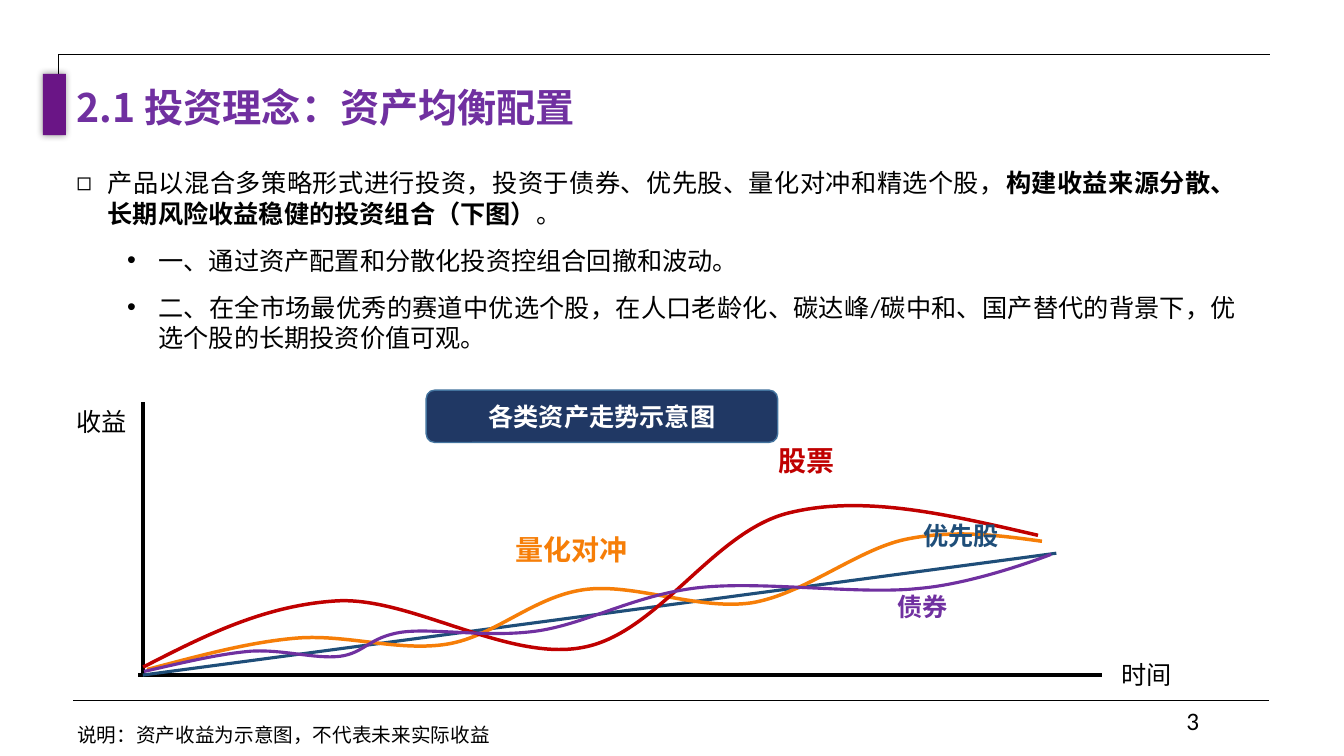
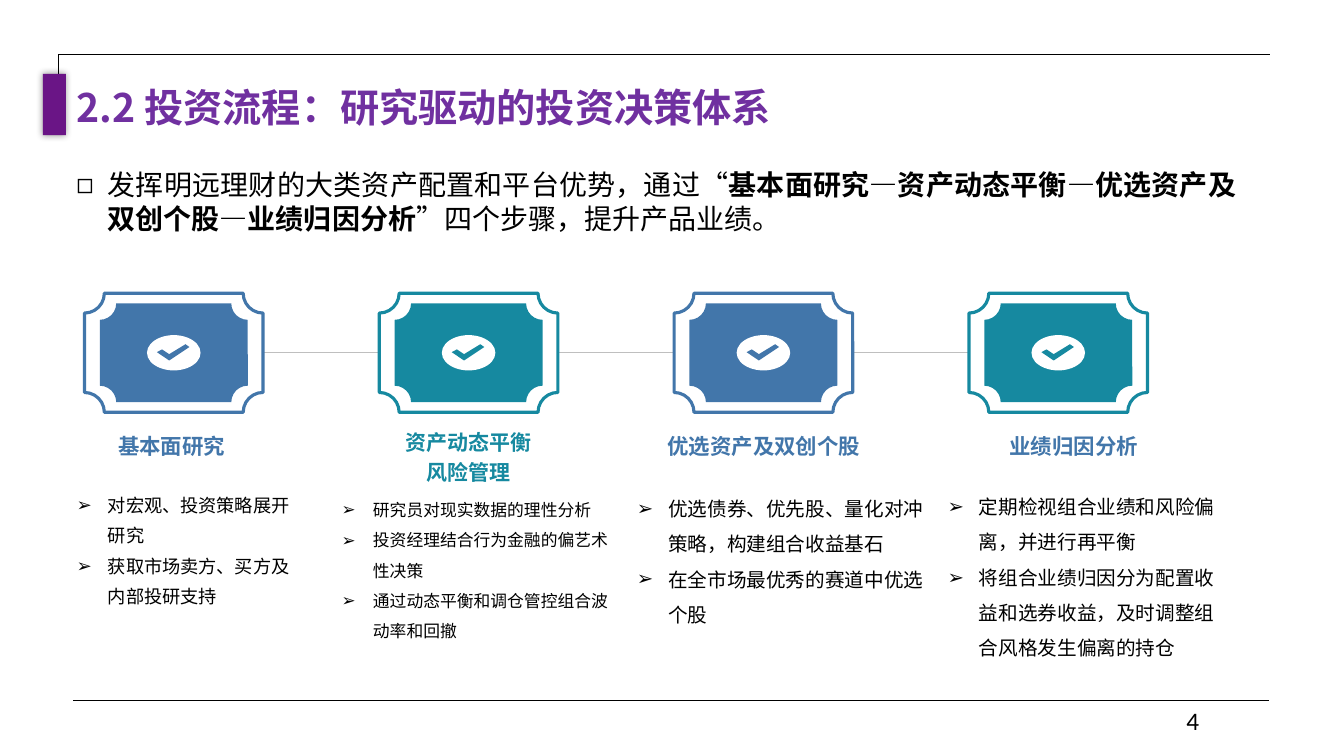
from lxml import etree
from pptx import Presentation
from pptx.dml.color import RGBColor
from pptx.enum.lang import MSO_LANGUAGE_ID
from pptx.enum.shapes import MSO_CONNECTOR, MSO_SHAPE
from pptx.enum.text import MSO_ANCHOR, MSO_AUTO_SIZE, PP_ALIGN
from pptx.oxml.ns import qn
from pptx.util import Cm, Pt

STRAIGHT = MSO_CONNECTOR.STRAIGHT
RECT, ROUND = MSO_SHAPE.RECTANGLE, MSO_SHAPE.ROUNDED_RECTANGLE
PLAQUE, OVAL = MSO_SHAPE.PLAQUE, MSO_SHAPE.OVAL
LEFT, CENTER, JUSTIFY = PP_ALIGN.LEFT, PP_ALIGN.CENTER, PP_ALIGN.JUSTIFY
TOP, MIDDLE, BOTTOM = MSO_ANCHOR.TOP, MSO_ANCHOR.MIDDLE, MSO_ANCHOR.BOTTOM
NOFIT = MSO_AUTO_SIZE.NONE
CHINESE = MSO_LANGUAGE_ID.SIMPLIFIED_CHINESE

BASE, HAN = "Calibri", "Noto Sans CJK SC"
BLACK, WHITE, GREY = "000000", "FFFFFF", "BFBFBF"
PURPLE, PLUM, NAVY = "7030A0", "6A1586", "203864"
RED, ORANGE, STEEL = "C00000", "F67E08", "1F4E79"
BLUE, TEAL = "4276AA", "1689A0"

# Lengths are centimetres
WIDE, HIGH = 33.87, 19.05
CORNER = [(1.47, 1.88), (1.47, 1.37), (32, 1.37)]
RULE = (1.85, 17.65, 31.98, 17.65)
MARK = (1.08, 1.86, 0.58, 1.55)
HEAD = (1.68, 1.98, 28.04, 1.55)
BODY = (1.67, 4.1, 29.74)
HANG = 0.79

# Body paragraphs: level, runs of (text, bold)
IDEA = [
    (0, [("产品以混合多策略形式进行投资，投资于债券、优先股、量化对冲和精选个股，", False),
         ("构建收益来源分散、长期风险收益稳健的投资组合（下图）", True), ("。", False)]),
    (1, [("一、通过资产配置和分散化投资控组合回撤和波动。", False)]),
    (1, [("二、在全市场最优秀的赛道中优选个股，在人口老龄化、碳达峰/碳中和、"
          "国产替代的背景下，优选个股的长期投资价值可观。", False)]),
]
FLOW = [
    (0, [("发挥明远理财的大类资产配置和平台优势，通过“", False),
         ("基本面研究—资产动态平衡—优选资产及双创个股—业绩归因分析", True),
         ("”四个步骤，提升产品业绩。", False)]),
]

AXES = [
    ((3.6, 10.13, 3.6, 17.01), BLACK, 2.5),
    ((3.48, 17.01, 27.76, 17.01), BLACK, 2.75),
    ((3.6, 17.01, 26.62, 13.94), STEEL, 2.25),
]
# Start point, then two handles and an end point for each bend
CURVES = [
    (ORANGE, 2.5, [
        (3.71, 16.87),
        (4.98, 16.54), (6.25, 16.18), (7.49, 16.08),
        (8.76, 15.98), (10.06, 16.43), (11.28, 16.23),
        (12.47, 16.03), (13.44, 15.04), (14.71, 14.86),
        (15.98, 14.68), (17.58, 15.39), (18.95, 15.19),
        (20.29, 14.96), (21.62, 13.84), (22.83, 13.59),
        (24.05, 13.34), (25.17, 13.49), (26.26, 13.64)]),
    (RED, 2.5, [
        (3.61, 16.81),
        (5.13, 16.03), (6.68, 15.24), (8.53, 15.14),
        (10.39, 15.06), (12.83, 16.69), (14.71, 16.31),
        (16.59, 15.95), (17.96, 13.41), (19.86, 12.93),
        (21.77, 12.45), (23.95, 12.98), (26.16, 13.49)]),
    (PURPLE, 2.25, [
        (3.63, 16.92),
        (4.57, 16.71), (5.49, 16.48), (6.32, 16.41),
        (7.14, 16.36), (7.92, 16.61), (8.56, 16.54),
        (9.19, 16.46), (9.3, 16.05), (10.13, 15.93),
        (10.95, 15.82), (12.29, 16.08), (13.54, 15.9),
        (14.78, 15.72), (16, 14.99), (17.6, 14.81),
        (19.2, 14.63), (21.64, 14.99), (23.14, 14.83),
        (24.61, 14.71), (26.49, 13.97), (26.49, 13.97)]),
]
# Text, box, size, colour, bold, alignment
LABELS = [
    ("收益", (1.68, 10.12, 1.8, 1.02), 18, BLACK, False, LEFT),
    ("时间", (28.02, 16.48, 1.8, 1.02), 18, BLACK, False, LEFT),
    ("股票", (19.15, 11.05, 2.34, 1.12), 20, RED, True, CENTER),
    ("量化对冲", (12.55, 13.3, 3.73, 1.12), 20, ORANGE, True, CENTER),
    ("优先股", (22.29, 12.98, 3.86, 1.02), 18, STEEL, True, CENTER),
    ("债券", (21.32, 14.78, 3.86, 1.02), 18, PURPLE, True, CENTER),
    ("说明：资产收益为示意图，不代表未来实际收益",
     (1.7, 18.08, 16.46, 0.86), 14, BLACK, False, LEFT),
]
BANNER = ("各类资产走势示意图", (10.74, 9.83, 8.86, 1.32))

TILE = (2.13, 7.39, 4.5, 3)
PITCH = 7.43
THREAD = (28.5, 8.89, 5.05, 8.89)
INNER, DISC = (3.73, 2.49), (1.35, 0.89)
TICK = [(0.56, 0.64), (0.25, 0.43), (0.38, 0.36), (0.56, 0.48), (0.97, 0.23), (1.07, 0.3)]
STEPS = [
    dict(color=BLUE, head=["基本面研究"], place=(0.69, 10.86, 7.28, 0.81),
         size=15.3, gap=0.8, box=(1.68, 12.1, 6.12, 3.3), small=13, lead=1.4, font=BASE,
         items=["对宏观、投资策略展开研究", "获取市场卖方、买方及内部投研支持"]),
    dict(color=TEAL, head=["资产动态平衡", "风险管理"], place=(8.17, 10.67, 7.28, 1.68),
         size=15, gap=1.2, box=(8.36, 12.22, 7.57, 3.73), small=12, lead=1.5, font=BASE,
         items=["研究员对现实数据的理性分析", "投资经理结合行为金融的偏艺术性决策",
                "通过动态平衡和调仓管控组合波动率和回撤"]),
    dict(color=BLUE, head=["优选资产及双创个股"], place=(15.61, 10.86, 7.28, 0.81),
         size=15.3, gap=0.8, box=(15.8, 12.1, 8, 4.27), small=14, lead=1.5, font=HAN,
         items=["优选债券、优先股、量化对冲策略，构建组合收益基石",
                "在全市场最优秀的赛道中优选个股"]),
    dict(color=TEAL, head=["业绩归因分析"], place=(23.42, 10.86, 7.28, 0.81), tint=BLUE,
         size=15.3, gap=0.8, box=(23.63, 12.05, 7.39, 4.27), small=14, lead=1.5, font=HAN,
         items=["定期检视组合业绩和风险偏离，并进行再平衡",
                "将组合业绩归因分为配置收益和选券收益，及时调整组合风格发生偏离的持仓"]),
]


def rgb(code):
    return RGBColor.from_string(code)


def cms(nums):
    return [Cm(n) for n in nums]


def sub(node, tag, **attrs):
    return etree.SubElement(node, qn(tag), attrs)


def write(par, text, size, color=BLACK, bold=False, font=BASE):
    run = par.add_run()
    run.text = text
    run.font.size, run.font.bold, run.font.name = Pt(size), bold, font
    run.font.language_id = CHINESE
    run.font.color.rgb = rgb(color)
    sub(run.font._element, "a:ea", typeface=HAN)


def bullet(par, char, left=HANG):
    props = par._p.get_or_add_pPr()
    props.set("marL", str(Cm(left)))
    props.set("indent", str(-Cm(HANG)))
    sub(props, "a:buFont", typeface="Arial")
    sub(props, "a:buChar", char=char)


def pars(frame, count):
    """Return the paragraphs of a frame, after adding those it lacks."""
    while len(frame.paragraphs) < count:
        frame.add_paragraph()
    return frame.paragraphs


def textbox(slide, box, wrap=True, anchor=TOP):
    frame = slide.shapes.add_textbox(*cms(box)).text_frame
    frame.word_wrap, frame.vertical_anchor = wrap, anchor
    return frame


def paint(shape, fill=None, line=None, width=1):
    shape.shadow.inherit = False
    if fill:
        shape.fill.solid()
        shape.fill.fore_color.rgb = rgb(fill)
    else:
        shape.fill.background()
    if line:
        shape.line.color.rgb = rgb(line)
        shape.line.width = Pt(width)
    else:
        shape.line.fill.background()
    return shape


def block(slide, kind, box, *look):
    return paint(slide.shapes.add_shape(kind, *cms(box)), *look)


def link(slide, ends, color, width):
    line = slide.shapes.add_connector(STRAIGHT, *cms(ends))
    line.line.color.rgb = rgb(color)
    line.line.width = Pt(width)
    sub(line._element.spPr, "a:effectLst")
    return line


def outline(slide, points, close, *look):
    pts = [cms(p) for p in points]
    form = slide.shapes.build_freeform(*pts[0], scale=1.0)
    form.add_line_segments(pts[1:], close=close)
    return paint(form.convert_to_shape(), *look)


def soften(shape):
    """Turn each three straight segments of an outline into one Bezier curve."""
    track = next(shape._element.iter(qn("a:path")))
    legs = track.findall(qn("a:lnTo"))
    for i in range(0, len(legs), 3):
        curve = sub(track, "a:cubicBezTo")
        for leg in legs[i:i + 3]:
            curve.append(leg[0])
            track.remove(leg)


def place(shape, box):
    shape.left, shape.top, shape.width, shape.height = cms(box)


def dress(layout, slide):
    """Put the rules and the purple mark on the layout, so that all slides show them."""
    mark = block(slide, RECT, MARK, PLUM)
    glow = sub(mark._element.spPr.find(qn("a:effectLst")), "a:outerShdw",
               blurRad=str(Pt(5)), dist="0", dir="0", algn="ctr", rotWithShape="0")
    sub(sub(glow, "a:srgbClr", val=BLACK), "a:alpha", val="40000")
    corner = outline(slide, CORNER, False, None, BLACK, 0.75)
    for part in (link(slide, RULE, BLACK, 0.75), corner, mark):
        layout.shapes._spTree.append(part._element)
    place(layout.placeholders[0], HEAD)


def start(slide, page, title, body, size, height):
    head = slide.shapes.title
    place(head, HEAD)
    frame = head.text_frame
    frame.vertical_anchor, frame.auto_size = MIDDLE, NOFIT
    par = frame.paragraphs[0]
    par.alignment, par.line_spacing = LEFT, 0.9
    write(par, title, 28, PURPLE, True, HAN)

    place(slide.placeholders[1], (*BODY, height))
    frame = slide.placeholders[1].text_frame
    frame.auto_size = NOFIT
    for i, (par, (level, runs)) in enumerate(zip(pars(frame, len(body)), body)):
        par.level, par.alignment = level, JUSTIFY
        bullet(par, "◻•"[level], (HANG, 2.07)[level])
        par.space_before, par.space_after = Pt(6 if i else 0), Pt(6)
        for text, bold in runs:
            write(par, text, size, bold=bold)

    foot = textbox(slide, (29.65, 17.65, 3.5, 1.02))
    write(foot.paragraphs[0], str(page), 18)


def trends(slide):
    for ends, color, width in AXES:
        link(slide, ends, color, width)
    for color, width, knots in CURVES:
        soften(outline(slide, knots, False, None, color, width))
    for text, box, size, color, bold, align in LABELS:
        par = textbox(slide, box, wrap=len(text) > 2).paragraphs[0]
        par.alignment = align
        write(par, text, size, color, bold)
    text, box = BANNER
    frame = block(slide, ROUND, box, NAVY, "43739E").text_frame
    frame.vertical_anchor = MIDDLE
    frame.paragraphs[0].alignment = CENTER
    write(frame.paragraphs[0], text, 18, WHITE, True)


def process(slide):
    left, top, wide, high = TILE
    link(slide, THREAD, GREY, 1)
    for i, step in enumerate(STEPS):
        color, x = step["color"], left + i * PITCH
        midx, midy = x + wide / 2, top + high / 2

        def core(w, h):
            return midx - w / 2, midy - h / 2, w, h

        block(slide, PLAQUE, (x, top, wide, high), WHITE, color, 2.25)
        block(slide, PLAQUE, core(*INNER), color)
        disc = core(*DISC)
        block(slide, OVAL, disc, WHITE)
        outline(slide, [(disc[0] + a, disc[1] + b) for a, b in TICK], True, color)

        frame = textbox(slide, step["place"], True, BOTTOM)
        for par, text in zip(pars(frame, len(step["head"])), step["head"]):
            par.alignment, par.line_spacing = CENTER, step["gap"]
            write(par, text, step["size"], step.get("tint", color), True)
        frame = textbox(slide, step["box"])
        for par, text in zip(pars(frame, len(step["items"])), step["items"]):
            bullet(par, "➢")
            par.line_spacing = step["lead"]
            write(par, text, step["small"], font=step["font"])


def main():
    prs = Presentation()
    prs.slide_width, prs.slide_height = Cm(WIDE), Cm(HIGH)
    layout = prs.slide_layouts[1]
    first, second = (prs.slides.add_slide(layout) for _ in range(2))
    dress(layout, first)
    start(first, 3, "2.1 投资理念：资产均衡配置", IDEA, 18, 4.95)
    trends(first)
    start(second, 4, "2.2 投资流程：研究驱动的投资决策体系", FLOW, 20, 1.96)
    process(second)
    prs.save("out.pptx")


if __name__ == "__main__":
    main()
